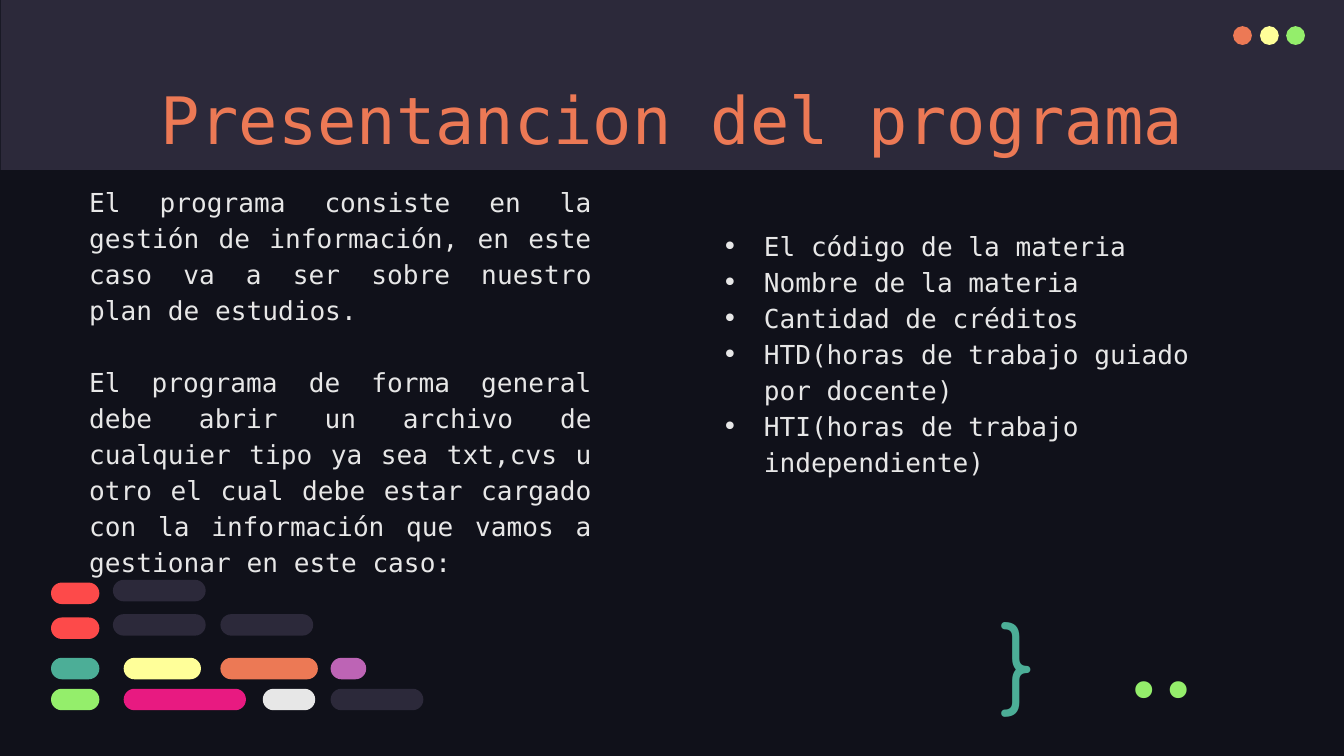
from pptx import Presentation
from pptx.dml.color import RGBColor
from pptx.enum.shapes import MSO_SHAPE as Preset
from pptx.enum.text import MSO_ANCHOR as Anchor, PP_ALIGN as Align
from pptx.oxml.xmlchemy import OxmlElement
from pptx.util import Pt

PX = 4572
NIGHT = RGBColor(0x10, 0x11, 0x1A)
SLATE = RGBColor(0x2C, 0x29, 0x3A)
ORANGE = RGBColor(0xEC, 0x79, 0x55)
YELLOW = RGBColor(0xFF, 0xFF, 0x99)
GREEN = RGBColor(0x94, 0xEE, 0x6B)
RED = RGBColor(0xFD, 0x4A, 0x4A)
TEAL = RGBColor(0x4C, 0xAE, 0x97)
PURPLE = RGBColor(0xBD, 0x64, 0xB5)
PINK = RGBColor(0xE8, 0x1A, 0x81)
LIGHT = RGBColor(0xE7, 0xE7, 0xE7)
MONO = "DejaVu Sans Mono"

PURPOSE = [
    "El programa consiste en la gestión de información, en este caso va a ser "
    "sobre nuestro plan de estudios.",
    "El programa de forma general debe abrir un archivo de cualquier tipo ya "
    "sea txt,cvs u otro el cual debe estar cargado con la información que "
    "vamos a gestionar en este caso:",
]
FIELDS = [
    "El código de la materia",
    "Nombre de la materia",
    "Cantidad de créditos",
    "HTD(horas de trabajo guiado por docente)",
    "HTI(horas de trabajo independiente)",
]
CODE_ROWS = [
    (4, [(0, 72, RED)]),
    (56, [(0, 72, RED)]),
    (116, [(0, 72, TEAL), (108, 115, YELLOW), (252, 145, ORANGE), (416, 53, PURPLE)]),
    (162, [(0, 72, GREEN), (108, 182, PINK), (315, 78, LIGHT), (416, 138, SLATE)]),
    (51, [(92, 138, SLATE), (252, 138, SLATE)]),
    (0, [(92, 138, SLATE)]),
]


def add_block(slide, preset, box, color):
    """Add a borderless filled shape and return it."""
    block = slide.shapes.add_shape(preset, *(n * PX for n in box))
    block.shadow.inherit = False
    block.fill.solid()
    block.fill.fore_color.rgb = color
    block.line.fill.background()
    return block


def add_text(slide, box, lines, size, color, font=MONO, align=Align.LEFT,
             anchor=Anchor.TOP):
    """Add a wrapped text box and return its paragraphs."""
    frame = slide.shapes.add_textbox(*(n * PX for n in box)).text_frame
    frame.word_wrap = True
    frame.vertical_anchor = anchor
    frame.margin_left = frame.margin_right = 20 * PX
    frame.margin_top = frame.margin_bottom = 20 * PX
    for number, line in enumerate(lines):
        paragraph = frame.add_paragraph() if number else frame.paragraphs[0]
        paragraph.alignment = align
        run = paragraph.add_run()
        run.text = line
        run.font.size = Pt(size)
        run.font.name = font
        run.font.color.rgb = color
    return frame.paragraphs


def add_header(slide, left, top, width, height):
    """Draw the header band with its window dots and title."""
    add_block(slide, Preset.RECTANGLE, (left, top, width, height), SLATE)
    for offset, color in zip((1834, 1874, 1913), (ORANGE, YELLOW, GREEN)):
        add_block(slide, Preset.OVAL, (left + offset, top + 39, 28, 28), color)
    add_text(slide, (left + 156, top + 98, 1686, 126),
             ["Presentancion del programa"], 35, ORANGE, align=Align.CENTER)


def add_fields(slide, left, top, width, height):
    """Write the bulleted list of subject fields."""
    for field in add_text(slide, (left, top, width, height), FIELDS, 14, LIGHT):
        field.line_spacing = 1.15
        layout = field._p.get_or_add_pPr()
        layout.set("marL", str(62 * PX))
        layout.set("indent", str(-62 * PX))
        for tag, key, value in (("a:buFont", "typeface", MONO),
                                ("a:buChar", "char", "•")):
            bullet = OxmlElement(tag)
            bullet.set(key, value)
            layout.append(bullet)


def add_purpose(slide, left, top, width, height):
    """Write the justified description of the program."""
    purpose = add_text(slide, (left, top, width, height), PURPOSE, 14, LIGHT,
                       align=Align.JUSTIFY)
    for paragraph in purpose:
        paragraph.line_spacing = 1.15
    purpose[0].space_after = Pt(19.3)


def add_code_lines(slide, left, top, pill_height):
    """Draw rows of coloured pills that suggest lines of code."""
    for row_top, pills in CODE_ROWS:
        for offset, width, color in pills:
            box = (left + offset, top + row_top, width, pill_height)
            add_block(slide, Preset.ROUNDED_RECTANGLE, box, color).adjustments[0] = 0.5


def add_closing_marks(slide, left, top):
    """Write the closing brace and the two dots."""
    add_text(slide, (left, top, 114, 166), ["}"], 50, TEAL, "Comfortaa")
    add_text(slide, (left + 151, top + 47, 214, 120), [".."], 50, GREEN,
             "Fira Code", Align.RIGHT, Anchor.MIDDLE)


def main():
    """Build the slide and save it."""
    deck = Presentation()
    deck.slide_width, deck.slide_height = 2000 * PX, 1125 * PX
    slide = deck.slides.add_slide(deck.slide_layouts[6])
    slide.background.fill.solid()
    slide.background.fill.fore_color.rgb = NIGHT
    add_header(slide, 1, 0, 2000, 253)
    add_fields(slide, 1055, 316, 788, 532)
    add_purpose(slide, 113, 250, 788, 560)
    add_code_lines(slide, 76, 863, 32)
    add_closing_marks(slide, 1469, 876)
    deck.save("out.pptx")


if __name__ == "__main__":
    main()
